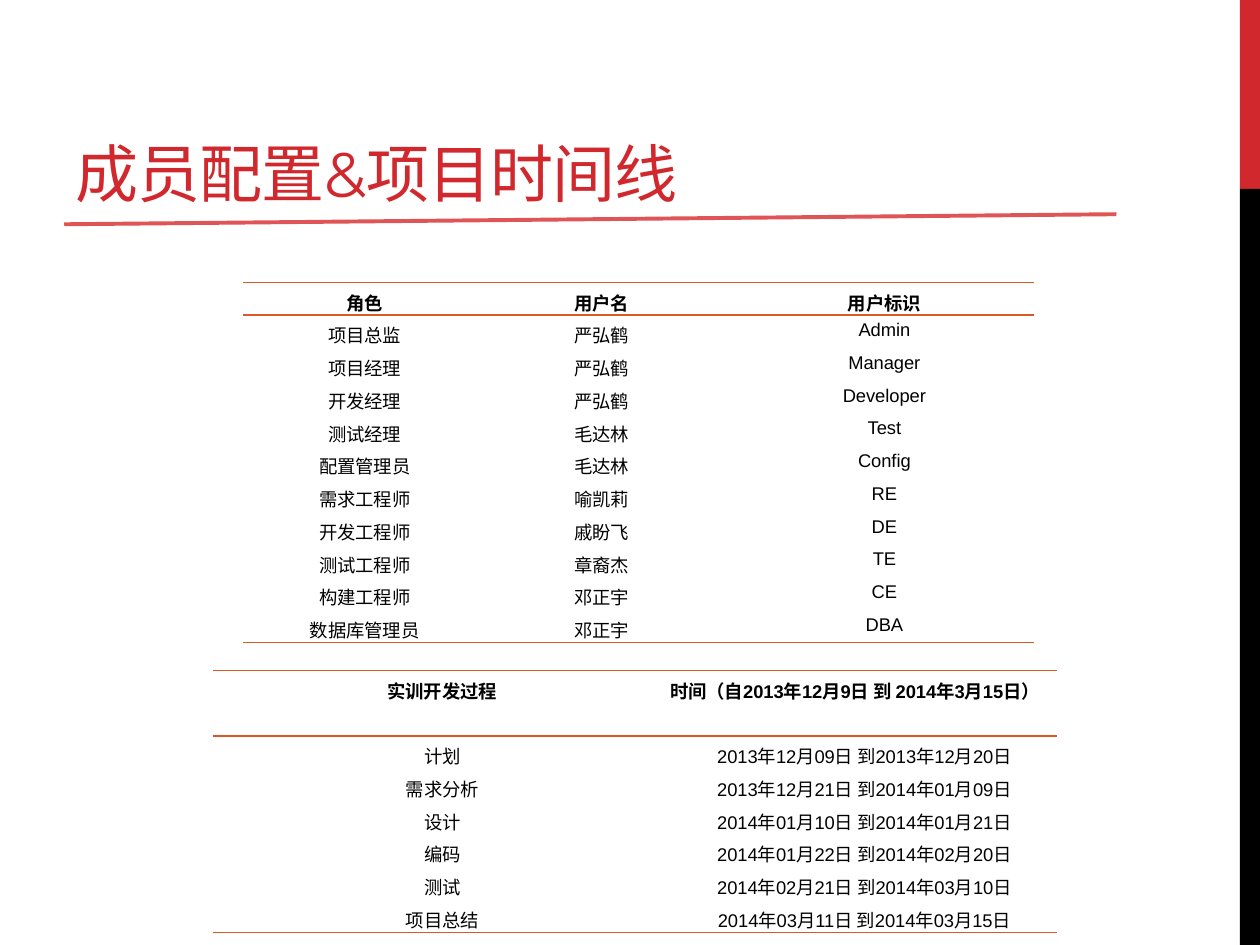
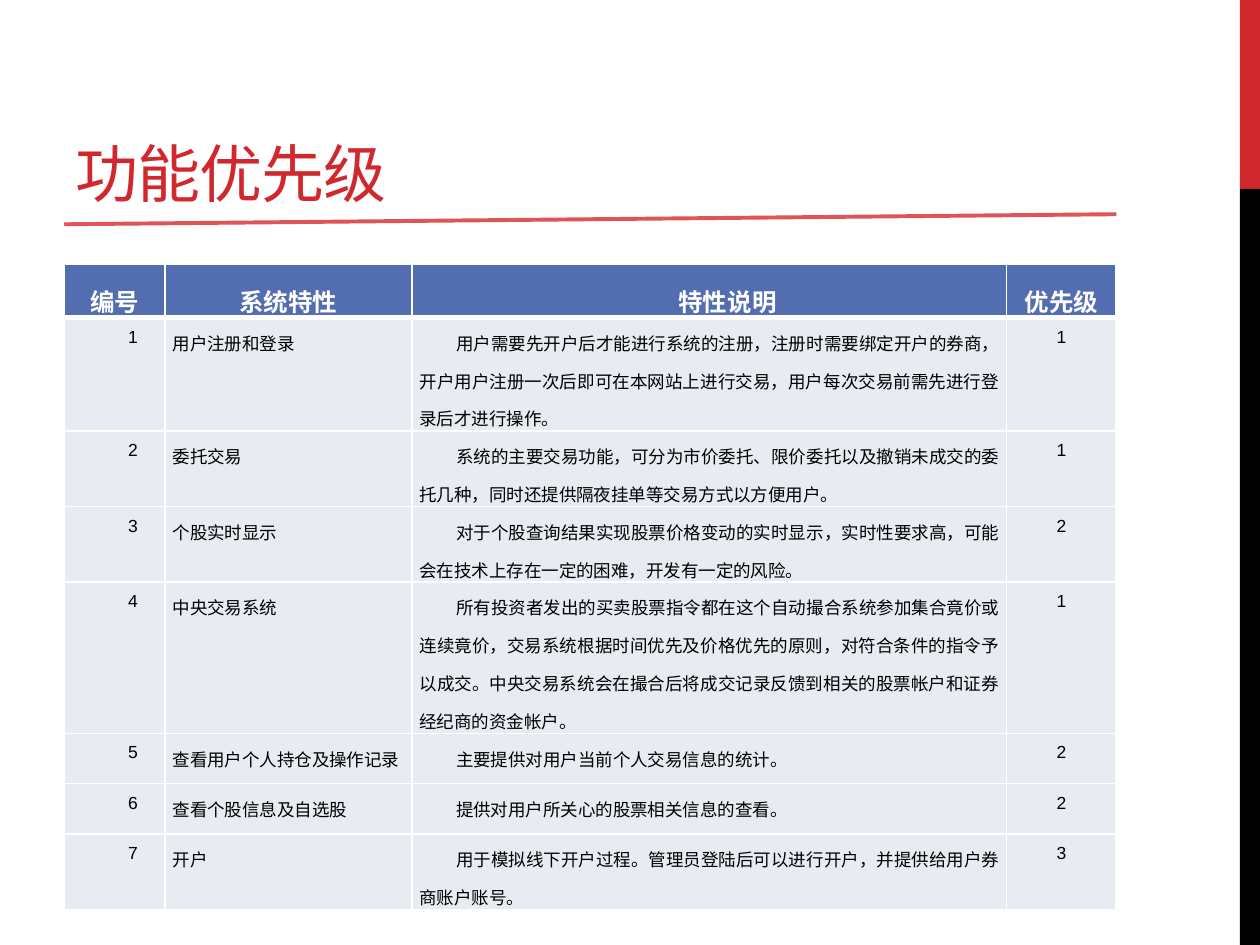
from dataclasses import dataclass

from lxml import etree
from pptx import Presentation
from pptx.dml.color import RGBColor
from pptx.enum.shapes import MSO_CONNECTOR, MSO_SHAPE
from pptx.enum.text import MSO_ANCHOR, PP_ALIGN
from pptx.oxml.ns import qn
from pptx.util import Inches, Pt

RECTANGLE = MSO_SHAPE.RECTANGLE
STRAIGHT = MSO_CONNECTOR.STRAIGHT
BOTTOM = MSO_ANCHOR.BOTTOM
CENTER, JUSTIFY = PP_ALIGN.CENTER, PP_ALIGN.JUSTIFY

# Content: members and timeline
TEAM_TITLE = "成员配置&项目时间线"
MEMBERS = [
    ("角色", "用户名", "用户标识"),
    ("项目总监", "严弘鹤", "Admin"),
    ("项目经理", "严弘鹤", "Manager"),
    ("开发经理", "严弘鹤", "Developer"),
    ("测试经理", "毛达林", "Test"),
    ("配置管理员", "毛达林", "Config"),
    ("需求工程师", "喻凯莉", "RE"),
    ("开发工程师", "戚盼飞", "DE"),
    ("测试工程师", "章裔杰", "TE"),
    ("构建工程师", "邓正宇", "CE"),
    ("数据库管理员", "邓正宇", "DBA"),
]
TIMELINE = [
    ("实训开发过程", "时间（自2013年12月9日 到 2014年3月15日）"),
    ("计划", "2013年12月09日 到2013年12月20日"),
    ("需求分析", "2013年12月21日 到2014年01月09日"),
    ("设计", "2014年01月10日 到2014年01月21日"),
    ("编码", "2014年01月22日 到2014年02月20日"),
    ("测试", "2014年02月21日 到2014年03月10日"),
    ("项目总结", "2014年03月11日 到2014年03月15日"),
]

# Content: feature priorities
PRIORITY_TITLE = "功能优先级"
FEATURES = [
    ("编号", "系统特性", "特性说明", "优先级"),
    ("1", "用户注册和登录",
     "用户需要先开户后才能进行系统的注册，注册时需要绑定开户的券商，开户用户注册一次后"
     "即可在本网站上进行交易，用户每次交易前需先进行登录后才进行操作。", "1"),
    ("2", "委托交易",
     "系统的主要交易功能，可分为市价委托、限价委托以及撤销未成交的委托几种，"
     "同时还提供隔夜挂单等交易方式以方便用户。", "1"),
    ("3", "个股实时显示",
     "对于个股查询结果实现股票价格变动的实时显示，实时性要求高，"
     "可能会在技术上存在一定的困难，开发有一定的风险。", "2"),
    ("4", "中央交易系统",
     "所有投资者发出的买卖股票指令都在这个自动撮合系统参加集合竟价或连续竟价，"
     "交易系统根据时间优先及价格优先的原则，对符合条件的指令予以成交。"
     "中央交易系统会在撮合后将成交记录反馈到相关的股票帐户和证券经纪商的资金帐户。", "1"),
    ("5", "查看用户个人持仓及操作记录", "主要提供对用户当前个人交易信息的统计。", "2"),
    ("6", "查看个股信息及自选股", "提供对用户所关心的股票相关信息的查看。", "2"),
    ("7", "开户",
     "用于模拟线下开户过程。管理员登陆后可以进行开户，并提供给用户券商账户账号。", "3"),
]


@dataclass(frozen=True)
class Theme:
    red: str = "D1282E"
    rule: str = "DE5457"
    black: str = "000000"
    white: str = "FFFFFF"
    orange: str = "DC5924"
    header_blue: str = "526DB0"
    row_gray: str = "E9EBF2"
    title_font: str = "Montserrat"
    body_font: str = "Arial"
    title_size: float = 36
    plain_size: float = 10.5
    header_size: float = 14
    feature_size: float = 10


THEME = Theme()
WIDTH, HEIGHT = 10, 7.5
BAND = 0.16
ROW = 0.26
SHORT_INDENT, LONG_INDENT = 0.14, 0.29
NO_STYLE = "{2D5ABB26-0587-4C30-8999-92F81FD0307C}"


def rgb(color):
    return RGBColor.from_string(color)


def style_font(font, name, size, color, bold=False):
    font.name, font.size, font.bold = name, Pt(size), bold
    font.color.rgb = rgb(color)


def add_frame(page, title):
    """Side band, slanted rule and title shared by the slides."""
    split = HEIGHT / 5
    for top, height, color in ((0, split, THEME.red), (split, HEIGHT - split, THEME.black)):
        band = page.shapes.add_shape(RECTANGLE, Inches(WIDTH - BAND), Inches(top),
                                     Inches(BAND), Inches(height))
        band.shadow.inherit = False
        band.fill.solid()
        band.fill.fore_color.rgb = rgb(color)
        band.line.fill.background()

    rule = page.shapes.add_connector(STRAIGHT, Inches(0.51), Inches(1.78),
                                     Inches(8.86), Inches(1.7))
    rule.line.color.rgb = rgb(THEME.rule)
    rule.line.width = Pt(2.25)
    etree.SubElement(rule._element.spPr, qn("a:effectLst"))

    box = page.shapes.add_textbox(Inches(0.5), Inches(0.17), Inches(6.33), Inches(1.5))
    frame = box.text_frame
    frame.word_wrap = True
    frame.vertical_anchor = BOTTOM
    frame.margin_bottom = 0
    para = frame.paragraphs[0]
    span = para.add_run()
    span.text = title
    style_font(span.font, THEME.title_font, THEME.title_size, THEME.red)
    span._r.get_or_add_rPr().set("spc", "-60")


def set_border(cell, side, color, width):
    line = etree.SubElement(cell._tc.get_or_add_tcPr(), qn("a:ln" + side), w=str(Pt(width)))
    fill = etree.SubElement(line, qn("a:solidFill"))
    etree.SubElement(fill, qn("a:srgbClr"), val=color)


def add_grid(page, rows, left, top, columns, heights, margin):
    """Place an unstyled table filled with the rows of text."""
    shape = page.shapes.add_table(len(rows), len(columns), Inches(left), Inches(top),
                                  Inches(sum(columns)), Inches(sum(heights)))
    table = shape.table
    table.first_row = table.horz_banding = False
    table._tbl.tblPr.find(qn("a:tableStyleId")).text = NO_STYLE
    for column, width in zip(table.columns, columns):
        column.width = Inches(width)
    for row, height, texts in zip(table.rows, heights, rows):
        row.height = Inches(height)
        for cell, text in zip(row.cells, texts):
            cell.text = text
            cell.margin_left = cell.margin_right = Inches(margin)
            cell.margin_top = cell.margin_bottom = 0
    return table


def style_para(cell, align, indent, spacing):
    para = cell.text_frame.paragraphs[0]
    para.alignment = align
    para.line_spacing = spacing
    para._p.get_or_add_pPr().set("indent", str(Inches(indent)))
    return para


def add_ruled_table(page, rows, left, top, columns, heights, indent):
    """Plain table with rules around its header and below its last row."""
    table = add_grid(page, rows, left, top, columns, heights, 0.07)
    for number, row in enumerate(table.rows):
        header = number == 0
        sides = "TB" if header else "B" if number == len(rows) - 1 else ""
        for place, cell in enumerate(row.cells):
            first_line = SHORT_INDENT if header and place else indent
            para = style_para(cell, CENTER, first_line, 1.25)
            style_font(para.font, THEME.body_font, THEME.plain_size, THEME.black, header)
            for side in sides:
                set_border(cell, side, THEME.orange, 1)
            cell.fill.background()


def add_feature_table(page):
    """Filled table with white grid lines and a heavier line below its header."""
    columns = (0.8, 1.96, 4.72, 0.87)
    heights = (0.42, 0.9, 0.6, 0.6, 1.2, 0.4, 0.4, 0.6)
    body_layout = ((CENTER, LONG_INDENT), (JUSTIFY, 0), (JUSTIFY, LONG_INDENT), (CENTER, 0))
    header_layout = ((CENTER, 0), (CENTER, 0), (CENTER, LONG_INDENT), (CENTER, 0))
    table = add_grid(page, FEATURES, 0.51, 2.1, columns, heights, 0.06)
    for number, row in enumerate(table.rows):
        header = number == 0
        layout = header_layout if header else body_layout
        size = THEME.header_size if header else THEME.feature_size
        color = THEME.white if header else THEME.black
        for cell, (align, indent) in zip(row.cells, layout):
            para = style_para(cell, align, indent, 1.5)
            style_font(para.font, THEME.body_font, size, color, header)
            for side in "LRTB" if header else "LRB":
                set_border(cell, side, THEME.white, 3 if header and side == "B" else 1)
            cell.fill.solid()
            cell.fill.fore_color.rgb = rgb(THEME.header_blue if header else THEME.row_gray)


def main():
    deck = Presentation()
    deck.slide_width, deck.slide_height = Inches(WIDTH), Inches(HEIGHT)
    blank = deck.slide_layouts[6]

    # Members and timeline
    page = deck.slides.add_slide(blank)
    add_frame(page, TEAM_TITLE)
    add_ruled_table(page, MEMBERS, 1.93, 2.24, (1.79, 1.97, 2.52),
                    [ROW] * len(MEMBERS), SHORT_INDENT)
    add_ruled_table(page, TIMELINE, 1.69, 5.32, (3.35, 3.35),
                    [2 * ROW] + [ROW] * (len(TIMELINE) - 1), LONG_INDENT)

    # Feature priorities
    page = deck.slides.add_slide(blank)
    add_frame(page, PRIORITY_TITLE)
    add_feature_table(page)

    deck.save("out.pptx")


if __name__ == "__main__":
    main()
